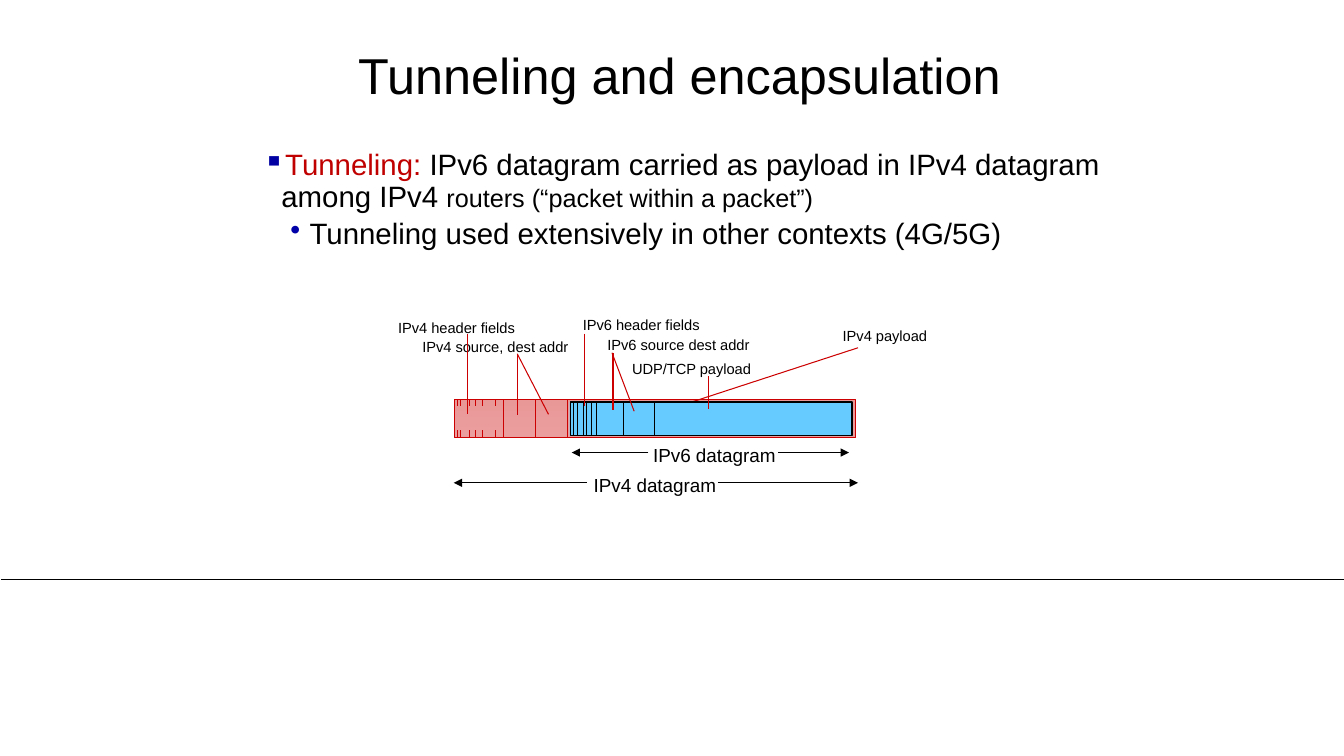
from dataclasses import dataclass

from lxml import etree
from pptx import Presentation
from pptx.dml.color import RGBColor
from pptx.enum.shapes import MSO_CONNECTOR, MSO_SHAPE
from pptx.enum.text import MSO_ANCHOR, PP_ALIGN
from pptx.oxml.ns import qn
from pptx.util import Inches, Pt

STRAIGHT = MSO_CONNECTOR.STRAIGHT
RECTANGLE = MSO_SHAPE.RECTANGLE
MIDDLE, TOP = MSO_ANCHOR.MIDDLE, MSO_ANCHOR.TOP
LEFT, CENTER = PP_ALIGN.LEFT, PP_ALIGN.CENTER


@dataclass(frozen=True)
class Theme:
    """Colours, font and type sizes of the slide."""
    font: str = "Arial"
    ink: str = "000000"
    ipv4: str = "CC0000"
    ipv6: str = "66CCFF"
    term: str = "C00000"
    bullets: tuple = ("0000A3", "0000A8")
    title: float = 36
    body: float = 21
    aside: float = 18
    extent: float = 13.5
    label: float = 10.5


THEME = Theme()


def rgb(color):
    """Turn a hex string into a colour."""
    return RGBColor.from_string(color)


def add_line(slide, x1, y1, x2, y2, color, width=0.75, arrow=False):
    """Draw a straight line, with an arrowhead at its end if asked."""
    line = slide.shapes.add_connector(
        STRAIGHT, Inches(x1), Inches(y1), Inches(x2), Inches(y2))
    line.line.color.rgb = rgb(color)
    line.line.width = Pt(width)
    if arrow:
        etree.SubElement(line.line._get_or_add_ln(), qn("a:tailEnd"), type="triangle")
    etree.SubElement(line._element.spPr, qn("a:effectLst"))


def add_rectangle(slide, x, y, width, height, fill=None):
    """Draw a rectangle without shadow or outline."""
    rectangle = slide.shapes.add_shape(
        RECTANGLE, Inches(x), Inches(y), Inches(width), Inches(height))
    rectangle.shadow.inherit = False
    rectangle.line.fill.background()
    if fill:
        rectangle.fill.solid()
        rectangle.fill.fore_color.rgb = rgb(fill)
    return rectangle


def outline(rectangle, color, width):
    """Give a rectangle an outline."""
    rectangle.line.color.rgb = rgb(color)
    rectangle.line.width = Pt(width)


def add_frame(slide, x, y, width, height, anchor=TOP):
    """Add a wrapping text box and return its text frame."""
    frame = slide.shapes.add_textbox(
        Inches(x), Inches(y), Inches(width), Inches(height)).text_frame
    frame.word_wrap = True
    frame.vertical_anchor = anchor
    return frame


def add_text(slide, x, y, width, height, text, size, align=LEFT, spacing=1.0, anchor=TOP):
    """Add a text box with one paragraph."""
    paragraph = add_frame(slide, x, y, width, height, anchor).paragraphs[0]
    paragraph.text = text
    paragraph.alignment = align
    paragraph.line_spacing = spacing
    paragraph.font.name = THEME.font
    paragraph.font.size = Pt(size)
    paragraph.font.color.rgb = rgb(THEME.ink)


def add_bullet(paragraph, char, color, margin, indent):
    """Set a coloured bullet and hanging indent."""
    properties = paragraph._p.get_or_add_pPr()
    properties.set("marL", str(Inches(margin)))
    properties.set("indent", str(Inches(indent)))
    bullet_color = etree.SubElement(properties, qn("a:buClr"))
    etree.SubElement(bullet_color, qn("a:srgbClr"), val=color)
    etree.SubElement(properties, qn("a:buChar"), char=char)


def add_body(slide, x, y, width, height):
    """Place the definition of tunneling and its sub-point."""
    frame = add_frame(slide, x, y, width, height)
    frame.margin_left = frame.margin_right = Inches(0.07)
    frame.margin_top = frame.margin_bottom = Inches(0.04)
    definition, contexts = frame.paragraphs[0], frame.add_paragraph()
    contexts.level = 1
    contexts.space_before = Pt(3.8)
    add_bullet(definition, "▪", THEME.bullets[0], 0.29, -0.18)
    add_bullet(contexts, "•", THEME.bullets[1], 0.57, -0.19)
    pieces = [
        (definition, "Tunneling: ", THEME.body, THEME.term),
        (definition, "IPv6 datagram carried as payload in IPv4 datagram among IPv4 ",
         THEME.body, THEME.ink),
        (definition, "routers (“packet within a packet”)", THEME.aside, THEME.ink),
        (contexts, "Tunneling used extensively in other contexts (4G/5G)",
         THEME.body, THEME.ink),
    ]
    for paragraph, text, size, color in pieces:
        run = paragraph.add_run()
        run.text = text
        run.font.size = Pt(size)
        run.font.color.rgb = rgb(color)
    for paragraph in (definition, contexts):
        paragraph.line_spacing = 0.9
        paragraph.font.name = THEME.font


def add_callouts(slide, x, y, labels, leaders):
    """Place field labels and their leader lines around a packet corner."""
    for text, dx, dy, width, height, align, spacing in labels:
        add_text(slide, x + dx, y + dy, width, height, text, THEME.label, align, spacing)
    for x1, y1, x2, y2 in leaders:
        add_line(slide, x + x1, y + y1, x + x2, y + y2, THEME.ipv4)


def add_ipv4_packet(slide, x, y, width, height):
    """Draw the outer IPv4 packet with its header fields and callouts."""
    packet = add_rectangle(slide, x, y, width, height)
    packet.fill.gradient()
    packet.fill.gradient_angle = 270
    for stop, position, opacity in zip(packet.fill.gradient_stops, (0, 1), (41, 38)):
        stop.position = position
        stop.color.rgb = rgb(THEME.ipv4)
        color = stop._gs.find(qn("a:srgbClr"))
        etree.SubElement(color, qn("a:alpha"), val=str(opacity * 1000))
    outline(packet, THEME.ipv4, 0.75)
    for dx in (0.48, 0.8, 1.12):
        add_line(slide, x + dx, y, x + dx, y + height, THEME.ipv4)
    tick = 0.07
    for dx in (0.03, 0.06, 0.15, 0.21, 0.28, 0.4):
        for top in (y, y + height - tick):
            add_line(slide, x + dx, top, x + dx, top + tick, THEME.ipv4)
    labels = [
        ("IPv4 source, dest addr", -0.42, -0.66, 1.72, 0.28, LEFT, 1.0),
        ("IPv4 header fields", -0.66, -0.85, 1.42, 0.28, LEFT, 1.0),
        ("IPv4 payload", 3.75, -0.77, 1.1, 0.28, LEFT, 1.0),
    ]
    leaders = [(0.62, -0.45, 0.62, 0.16), (0.62, -0.45, 0.93, 0.15),
               (0.13, -0.65, 0.13, 0.15), (4.0, -0.51, 2.01, 0.14)]
    add_callouts(slide, x, y, labels, leaders)


def add_ipv6_packet(slide, x, y, width, height):
    """Draw the inner IPv6 packet with its header fields and callouts."""
    add_rectangle(slide, x - 0.01, y, width + 0.02, height, THEME.ipv6)
    outline(add_rectangle(slide, x, y, width, height, THEME.ipv6), THEME.ink, 1)
    for dx in (0.03, 0.07, 0.13, 0.16, 0.21, 0.26, 0.52, 0.83):
        add_line(slide, x + dx, y, x + dx, y + height, THEME.ink)
    labels = [
        ("UDP/TCP payload", 0.51, -0.47, 1.41, 0.28, LEFT, 1.0),
        ("IPv6 source dest addr", 0.25, -0.68, 1.64, 0.25, CENTER, 0.85),
        ("IPv6 header fields", 0.01, -0.88, 1.38, 0.25, CENTER, 0.85),
    ]
    leaders = [(0.42, -0.49, 0.42, 0.08), (0.41, -0.49, 0.63, 0.09),
               (0.14, -0.68, 0.14, 0.04), (1.37, -0.26, 1.37, 0.07)]
    add_callouts(slide, x, y, labels, leaders)


def add_extent(slide, x, y, width, text, label_x, gap):
    """Mark a datagram's width with arrows on both sides of its name."""
    add_text(slide, label_x, y - 0.14, 1.43, 0.33, text, THEME.extent)
    gap_left, gap_right = gap
    add_line(slide, gap_right, y, x + width, y, THEME.ink, arrow=True)
    add_line(slide, gap_left, y, x, y, THEME.ink, arrow=True)


def add_encapsulation(slide, x, y, width, height):
    """Draw the IPv6 datagram inside the IPv4 datagram."""
    add_ipv4_packet(slide, x, y, width, height)
    add_extent(slide, x - 0.01, y + 0.83, width + 0.03, "IPv4 datagram",
               x + 1.28, (x + 1.31, x + 2.61))
    add_extent(slide, x + 1.16, y + 0.53, 2.75, "IPv6 datagram",
               x + 1.87, (x + 1.92, x + 3.21))
    add_ipv6_packet(slide, x + 1.15, y + 0.03, width - 1.19, height - 0.05)


def main():
    """Build and save the slide."""
    deck = Presentation()
    deck.slide_width, deck.slide_height = Inches(13.33), Inches(7.5)
    slide = deck.slides.add_slide(deck.slide_layouts[6])
    add_line(slide, 0.01, 5.75, 13.33, 5.75, THEME.ink, 0.5)
    add_text(slide, 2.43, 0.41, 8.62, 0.73, "Tunneling and encapsulation",
             THEME.title, CENTER, 0.9, MIDDLE)
    add_encapsulation(slide, 4.51, 3.96, 3.98, 0.38)
    add_body(slide, 2.43, 1.45, 8.62, 1.35)
    deck.save("out.pptx")


if __name__ == "__main__":
    main()
